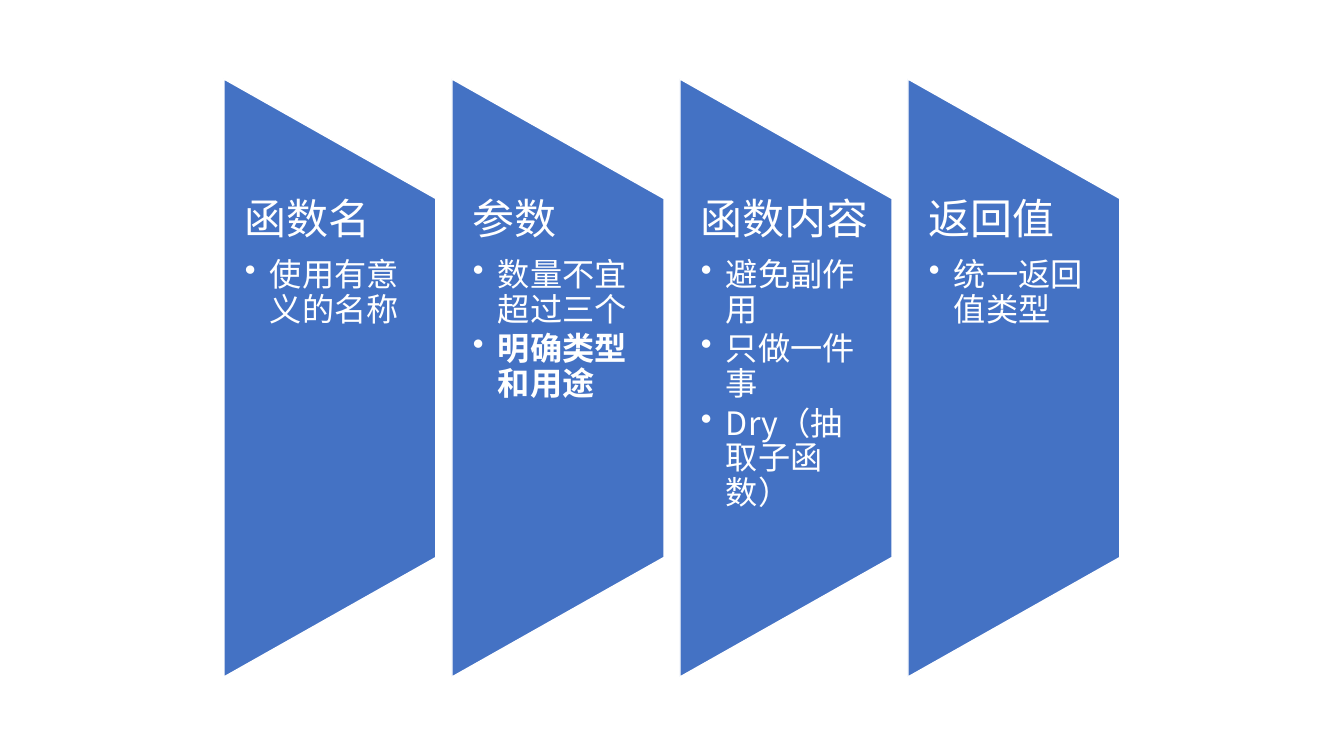
"""Build a slide of four pointed panels on what makes a good function."""
from dataclasses import dataclass

from pptx import Presentation
from pptx import util as u
from pptx.dml.color import RGBColor
from pptx.enum import shapes, text
from pptx.oxml import parse_xml
from pptx.oxml.ns import nsdecls, qn

PANELS = [
    ("函数名", ["使用有意义的名称"]),
    ("参数", ["数量不宜超过三个", "明确类型和用途"]),
    ("函数内容", ["避免副作用", "只做一件事", "Dry（抽取子函数）"]),
    ("返回值", ["统一返回值类型"]),
]
STRONG = {"明确类型和用途"}

SLIDE = (1344, 756)
LEFT, PITCH = 224, 228
WIDTH, HEIGHT = 212, 598
BODY = 359
INSET = 21
INDENT = 25


@dataclass(frozen=True)
class Theme:
    """Colours, font and type sizes of the slide."""
    fill: RGBColor = RGBColor(0x44, 0x72, 0xC4)
    white: RGBColor = RGBColor(0xFF, 0xFF, 0xFF)
    font: str = "Noto Sans CJK SC"
    head: int = 30
    item: int = 23


THEME = Theme()


def px(num):
    """Turn px into EMU."""
    return u.Emu(round(num * 914400 / 100.8))


def style(para, size, after, bold=None):
    """Set the font and spacing of a paragraph."""
    para.line_spacing = 0.9
    para.space_after = u.Pt(size * after)
    font = para.font
    font.size, font.name, font.bold = u.Pt(size), THEME.font, bold
    font.color.rgb = THEME.white
    base = para._p.pPr.find(qn("a:defRPr"))
    base.find(qn("a:latin")).addnext(
        parse_xml(f'<a:ea {nsdecls("a")} typeface="{THEME.font}"/>'))


def bullet(para):
    """Give a paragraph a hanging bullet."""
    props = para._p.pPr
    props.set("marL", str(px(INDENT)))
    props.set("indent", str(-px(INDENT)))
    props.find(qn("a:defRPr")).addprevious(
        parse_xml(f'<a:buChar {nsdecls("a")} char="•"/>'))


def add_panel(group, left):
    """Draw one panel, turned so that its long side is on the left."""
    mid = left + WIDTH / 2
    panel = group.shapes.add_shape(
        shapes.MSO_SHAPE.FLOWCHART_MANUAL_OPERATION,
        px(mid - HEIGHT / 2), px((SLIDE[1] - WIDTH) / 2),
        px(HEIGHT), px(WIDTH))
    panel.rotation = 270
    panel.shadow.inherit = False
    panel.fill.solid()
    panel.fill.fore_color.rgb = THEME.fill
    panel.line.color.rgb = THEME.white
    panel.line.width = u.Pt(1)


def add_body(group, left, head, items):
    """Write the heading and bullets of one panel."""
    box = group.shapes.add_textbox(
        px(left), px((SLIDE[1] - BODY) / 2), px(WIDTH), px(BODY))
    frame = box.text_frame
    frame.word_wrap = True
    frame.vertical_anchor = text.MSO_ANCHOR.TOP
    frame.margin_left = frame.margin_right = px(INSET)
    frame.margin_top = frame.margin_bottom = 0
    title = frame.paragraphs[0]
    title.text = head
    style(title, THEME.head, 0.35)
    for item in items:
        para = frame.add_paragraph()
        para.text, para.level = item, 1
        style(para, THEME.item, 0.15, True if item in STRONG else None)
        bullet(para)


def main():
    """Lay out the panels and save the deck."""
    deck = Presentation()
    deck.slide_width, deck.slide_height = map(px, SLIDE)
    slide = deck.slides.add_slide(deck.slide_layouts[6])
    group = slide.shapes.add_group_shape()
    for col, (head, items) in enumerate(PANELS):
        left = LEFT + col * PITCH
        add_panel(group, left)
        add_body(group, left, head, items)
    deck.save("out.pptx")


if __name__ == "__main__":
    main()
